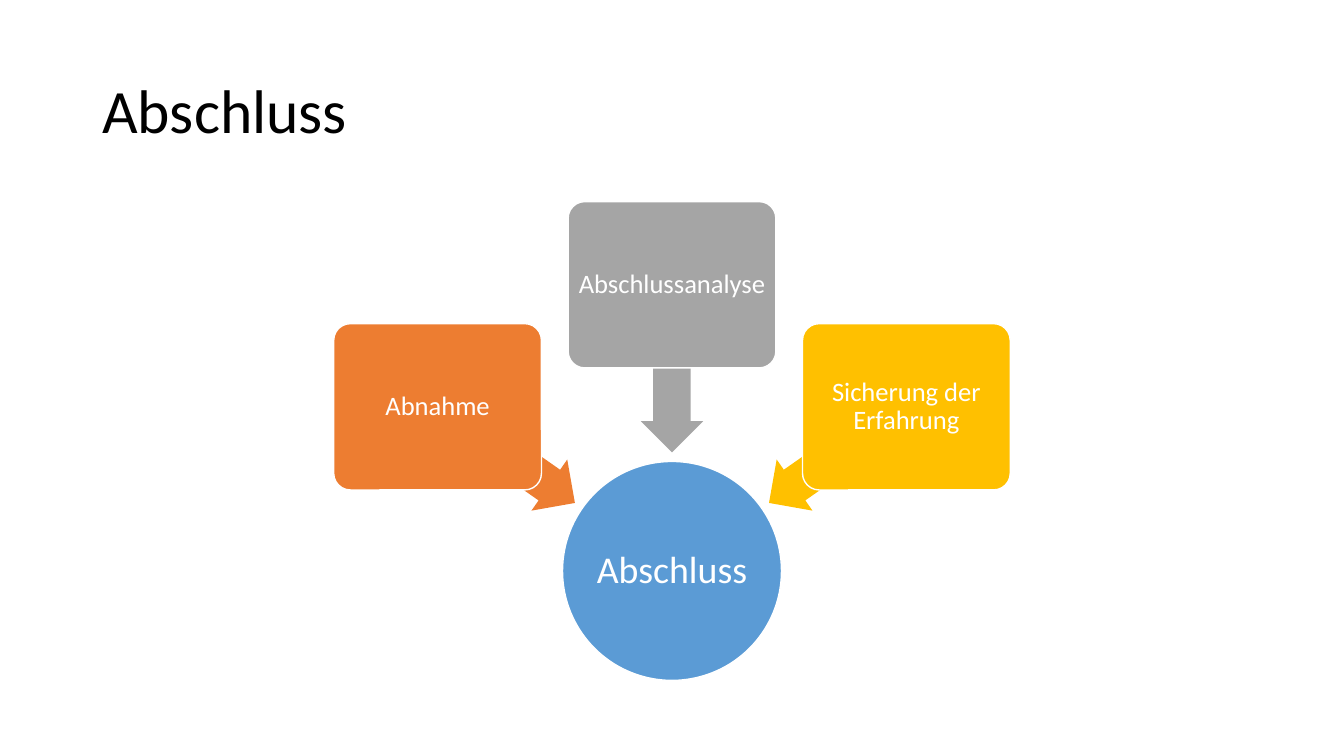
from math import cos, radians, sin

from pptx import Presentation
from pptx.dml.color import RGBColor
from pptx.enum.shapes import MSO_SHAPE
from pptx.enum.text import MSO_ANCHOR, PP_ALIGN
from pptx.util import Pt

CIRCLE = MSO_SHAPE.OVAL
CARD = MSO_SHAPE.ROUNDED_RECTANGLE
ARROW = MSO_SHAPE.LEFT_ARROW
MIDDLE = MSO_ANCHOR.MIDDLE
LEFT, CENTER = PP_ALIGN.LEFT, PP_ALIGN.CENTER

FONT = "Calibri"
COLORS = {
    "black": "000000",
    "white": "FFFFFF",
    "blue": "5B9BD5",
    "orange": "ED7D31",
    "gray": "A5A5A5",
    "gold": "FFC000",
}
TOPICS = [
    ("Abnahme", "orange", 215),
    ("Abschlussanalyse", "gray", 270),
    ("Sicherung der Erfahrung", "gold", 325),
]


def color(name):
    """Return the named colour."""
    return RGBColor.from_string(COLORS[name])


def write(frame, text, size, ink, align, inset_x, inset_y):
    """Fill a text frame with one vertically centred paragraph."""
    frame.word_wrap = True
    frame.vertical_anchor = MIDDLE
    frame.margin_left = frame.margin_right = Pt(inset_x)
    frame.margin_top = frame.margin_bottom = Pt(inset_y)
    para = frame.paragraphs[0]
    para.text = text
    para.alignment = align
    para.line_spacing = 0.9
    para.font.name = FONT
    para.font.size = Pt(size)
    para.font.color.rgb = color(ink)


def add_centered(page, kind, center, size, fill, outlined=True):
    """Add a flat preset shape around a centre point."""
    (x, y), (width, height) = center, size
    shape = page.shapes.add_shape(
        kind, Pt(x - width / 2), Pt(y - height / 2), Pt(width), Pt(height))
    shape.shadow.inherit = False
    shape.fill.solid()
    shape.fill.fore_color.rgb = color(fill)
    if outlined:
        shape.line.color.rgb = color("white")
        shape.line.width = Pt(1)
    else:
        shape.line.fill.background()
    return shape


def add_title(page, box, text):
    """Place the slide title in its box."""
    title = page.shapes.add_textbox(*map(Pt, box))
    write(title.text_frame, text, 44, "black", LEFT, 7.2, 3.6)


def add_radial(page, box, hub_text, topics):
    """Draw a hub at the foot of the box with topic cards pointing at it."""
    left, top, width, height = box
    hub_size = 156.4
    card_size = (148.4, 118.8)
    hub_x, hub_y = left + width / 2, top + height - hub_size / 2
    card_radius = height - (hub_size + card_size[1]) / 2
    arrow_radius = card_radius - 60

    def around_hub(angle, radius):
        """Return the point at an angle and distance from the hub."""
        turn = radians(angle)
        return hub_x + radius * cos(turn), hub_y + radius * sin(turn)

    hub = add_centered(page, CIRCLE, (hub_x, hub_y), (hub_size, hub_size), "blue")
    write(hub.text_frame, hub_text, 27, "white", CENTER, 1.4, 1.4)

    for text, fill, angle in topics:
        arrow = add_centered(page, ARROW, around_hub(angle, arrow_radius),
                             (119.5, 44.6), fill, outlined=False)
        arrow.adjustments[0] = 0.6
        arrow.adjustments[1] = 0.5
        arrow.rotation = angle
        card = add_centered(page, CARD, around_hub(angle, card_radius), card_size, fill)
        card.adjustments[0] = 0.1
        write(card.text_frame, text, 19, "white", CENTER, 2.7, 2.7)


def main():
    """Build and save the deck."""
    deck = Presentation()
    deck.slide_width, deck.slide_height = Pt(960), Pt(540)
    page = deck.slides.add_slide(deck.slide_layouts[6])
    add_title(page, (66, 28.8, 828, 104.4), "Abschluss")
    add_radial(page, (237.6, 144, 484.8, 342), "Abschluss", TOPICS)
    deck.save("out.pptx")


main()
